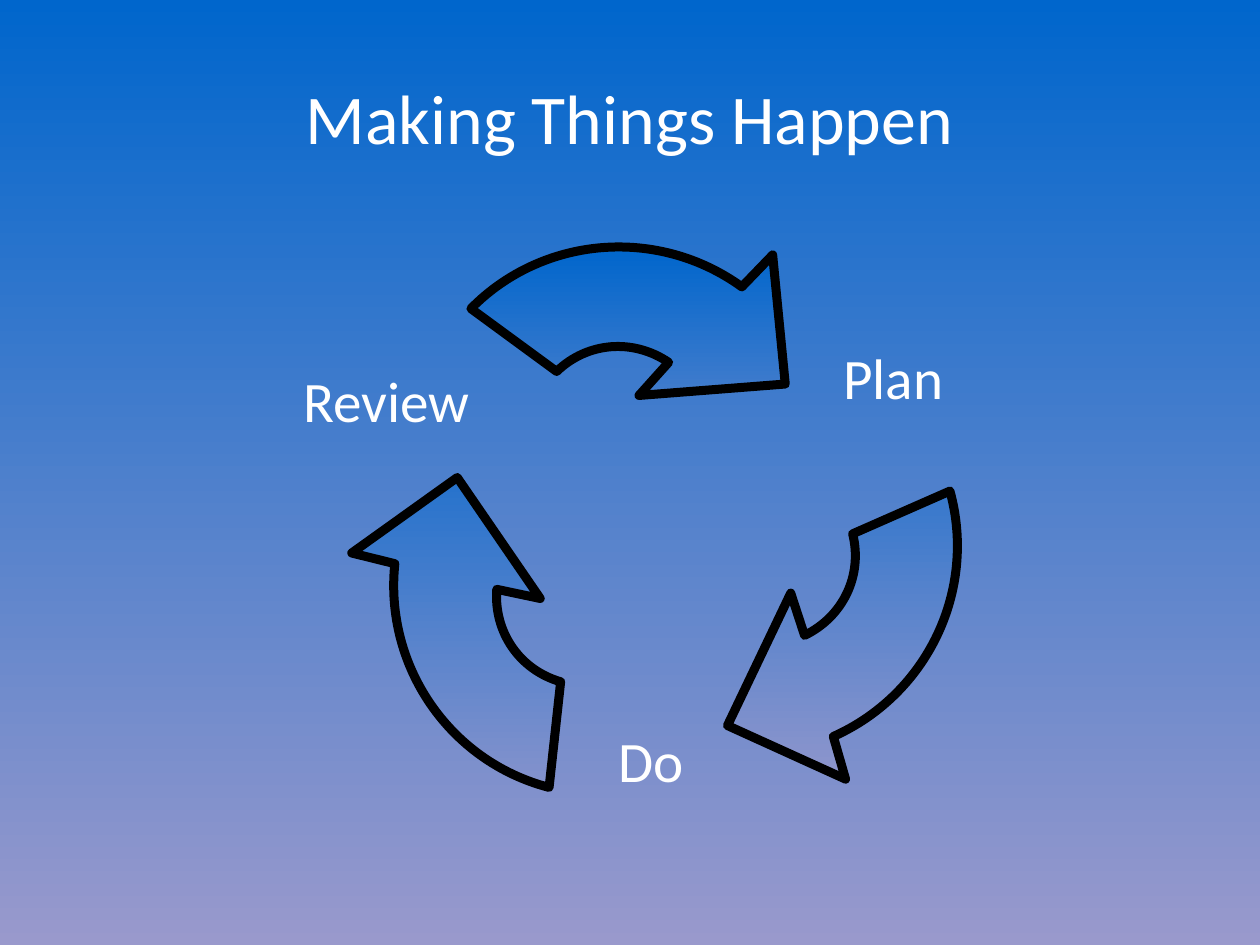
import pptx
import pptx.dml.color
import pptx.enum.text
import pptx.oxml.ns
import pptx.util
from lxml import etree
from pptx.util import Inches

BLUE = pptx.dml.color.RGBColor(0x00, 0x66, 0xCC)
LILAC = pptx.dml.color.RGBColor(0x99, 0x99, 0xCC)
WHITE = pptx.dml.color.RGBColor(0xFF, 0xFF, 0xFF)
BLACK = pptx.dml.color.RGBColor(0x00, 0x00, 0x00)
qn = pptx.oxml.ns.qn


def set_gradient(fill):
    fill.gradient()
    fill.gradient_angle = 270
    for stop, color in zip(fill.gradient_stops, (BLUE, LILAC)):
        stop.color.rgb = color


def add_label(text, left, top, width, height, size):
    box = slide.shapes.add_textbox(Inches(left), Inches(top), Inches(width), Inches(height))
    box.text_frame.word_wrap = True
    box.text_frame.text = text
    font = box.text_frame.paragraphs[0].runs[0].font
    font.name = "Calibri"
    font.size = pptx.util.Pt(size)
    font.color.rgb = WHITE
    return box.text_frame


presentation = pptx.Presentation()
presentation.slide_width = pptx.util.Cm(28)
presentation.slide_height = pptx.util.Cm(21)
slide = presentation.slides.add_slide(presentation.slide_layouts[6])
set_gradient(slide.background.fill)

title = add_label("Making Things Happen", 0.55, 0.38, 9.92, 1.28, 44)
title.vertical_anchor = pptx.enum.text.MSO_ANCHOR.MIDDLE
title.margin_left = title.margin_right = title.margin_top = title.margin_bottom = 0
title.paragraphs[0].alignment = pptx.enum.text.PP_ALIGN.CENTER

ARROW_WIDTH, ARROW_HEIGHT = 3.35, 2.95
ARROW_START = (2.11, 1.0)
ARROW_POINTS = [(1.13, 1.08), (0.38, 0.53), (2.75, 0.34), (3.02, 0.06), (3.13, 1.19), (1.85, 1.29)]
CURVE_CONTROLS = {
    0: [(1.8, 0.79), (1.4, 0.82)],
    2: [(1.01, -0.11), (2.02, -0.19)],
}

for left, top, rotation in [(3.74, 2.17, 0), (5.17, 3.47, 120), (3.3, 3.82, 240)]:
    builder = slide.shapes.build_freeform(0, 0)
    builder.move_to(Inches(ARROW_WIDTH), Inches(ARROW_HEIGHT))
    builder.move_to(Inches(ARROW_START[0]), Inches(ARROW_START[1]))
    builder.add_line_segments([(Inches(x), Inches(y)) for x, y in ARROW_POINTS], close=True)
    arrow = builder.convert_to_shape(Inches(left), Inches(top))
    arrow.rotation = rotation
    arrow.shadow.inherit = False

    path = arrow.element.find(".//" + qn("a:path"))
    for corner in path.findall(qn("a:moveTo"))[:2]:
        path.remove(corner)
    segments = path.findall(qn("a:lnTo"))
    for index, controls in CURVE_CONTROLS.items():
        curve = etree.Element(qn("a:cubicBezTo"))
        for x, y in controls:
            etree.SubElement(curve, qn("a:pt"), x=str(int(Inches(x))), y=str(int(Inches(y))))
        curve.append(segments[index][0])
        path.replace(segments[index], curve)

    set_gradient(arrow.fill)
    arrow.element.spPr.find(qn("a:gradFill")).set("rotWithShape", "0")
    arrow.line.color.rgb = BLACK
    arrow.line.width = pptx.util.Pt(5.67)
    etree.SubElement(arrow.element.spPr.find(qn("a:ln")), qn("a:round"))

for step, left, top in [("Plan", 7.28, 2.95), ("Do", 5.31, 6.3), ("Review", 2.56, 3.15)]:
    add_label(step, left, top, 1.97, 0.82, 36)

presentation.save("out.pptx")
